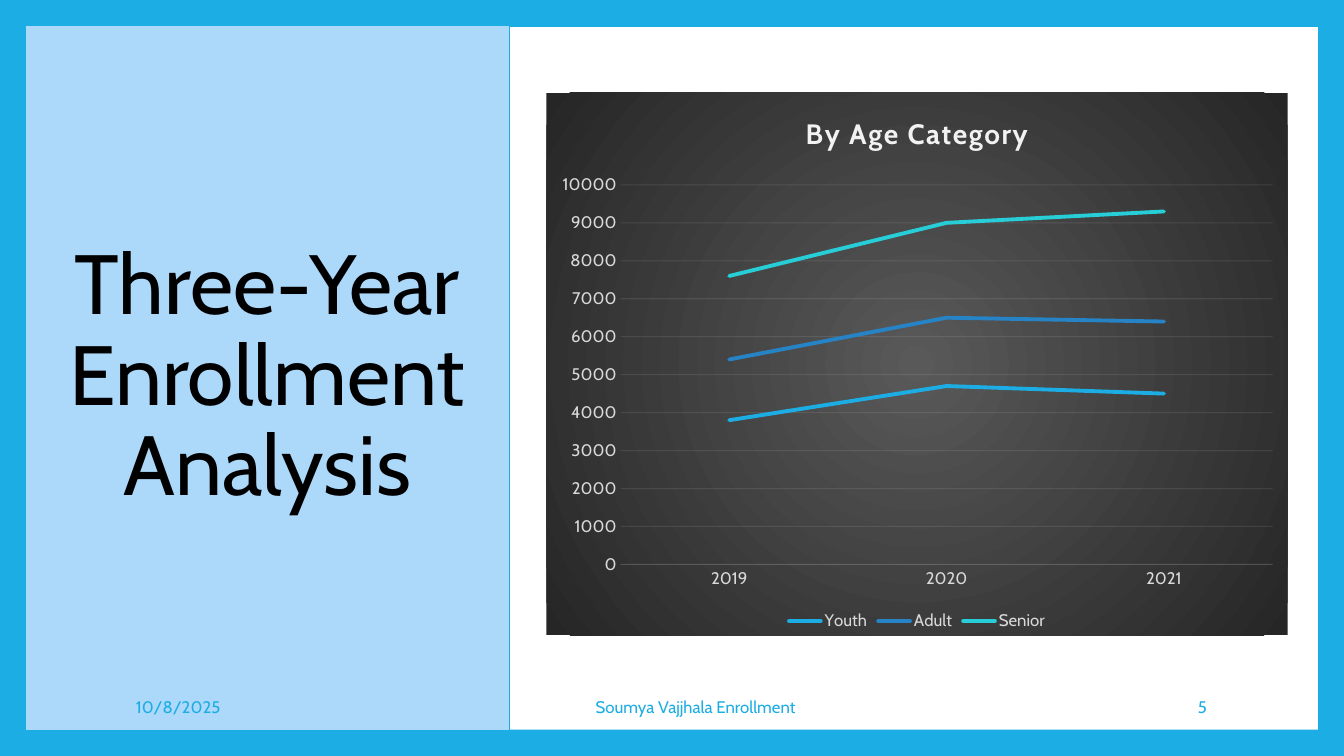
from lxml import etree
from pptx import Presentation
from pptx.chart.data import CategoryChartData
from pptx.dml.color import RGBColor
from pptx.enum.chart import XL_CHART_TYPE, XL_LEGEND_POSITION, XL_MARKER_STYLE, XL_TICK_MARK
from pptx.enum.shapes import MSO_SHAPE
from pptx.enum.text import MSO_ANCHOR, MSO_AUTO_SIZE, PP_ALIGN
from pptx.oxml import parse_xml
from pptx.oxml.ns import nsdecls, qn
from pptx.util import Inches, Pt

FONT = "Cabin"
BLUE = RGBColor(0x1C, 0xAD, 0xE4)
MID_BLUE = RGBColor(0x26, 0x83, 0xC6)
TURQUOISE = RGBColor(0x27, 0xCE, 0xD7)
PALE_BLUE = RGBColor(0xAC, 0xD8, 0xFA)
WHITE = RGBColor(0xFF, 0xFF, 0xFF)
BLACK = RGBColor(0, 0, 0)
OFF_WHITE = RGBColor(0xF2, 0xF2, 0xF2)
LIGHT_GREY = RGBColor(0xD9, 0xD9, 0xD9)
CENTRE_GREY = RGBColor(0x59, 0x59, 0x59)
EDGE_GREY = RGBColor(0x26, 0x26, 0x26)

YEARS = ["2019", "2020", "2021"]
ENROLLMENT = [
    ("Youth", (3800, 4700, 4500), BLUE),
    ("Adult", (1600, 1800, 1900), MID_BLUE),
    ("Senior", (2200, 2500, 2900), TURQUOISE),
]


def inches(box):
    return [Inches(length) for length in box]


def set_font(font, size, color, bold=False):
    font.name, font.size, font.bold = FONT, Pt(size), bold
    font.color.rgb = color


def add_title(slide, box):
    title = slide.shapes.title
    title.left, title.top, title.width, title.height = inches(box)
    title.fill.solid()
    title.fill.fore_color.rgb = PALE_BLUE
    title.line.color.rgb = BLUE
    title.line.width = Pt(0.79)
    frame = title.text_frame
    frame.text = "Three-Year Enrollment Analysis"
    frame.word_wrap = True
    frame.auto_size = MSO_AUTO_SIZE.NONE
    frame.vertical_anchor = MSO_ANCHOR.MIDDLE
    paragraph = frame.paragraphs[0]
    paragraph.alignment = PP_ALIGN.CENTER
    paragraph.line_spacing = 0.9
    set_font(paragraph.runs[0].font, 60, BLACK)


def add_panel(slide, box):
    panel = slide.shapes.add_shape(MSO_SHAPE.RECTANGLE, *inches(box))
    panel.shadow.inherit = False
    panel.fill.solid()
    panel.fill.fore_color.rgb = WHITE
    panel.line.fill.background()
    # The panel lies behind the title
    slide.shapes.title.element.addprevious(panel.element)


def style_faint_line(line):
    line.width = Pt(0.75)
    line.color.rgb = OFF_WHITE
    for color in line.fill._xPr.iter(qn("a:srgbClr")):
        etree.SubElement(color, qn("a:alpha")).set("val", "10000")


def style_axes(chart):
    for axis in (chart.category_axis, chart.value_axis):
        axis.major_tick_mark = axis.minor_tick_mark = XL_TICK_MARK.NONE
        set_font(axis.tick_labels.font, 12, LIGHT_GREY)
    style_faint_line(chart.category_axis.format.line)
    values = chart.value_axis
    values.minimum_scale, values.maximum_scale, values.major_unit = 0, 10000, 1000
    values.format.line.fill.background()
    values.has_major_gridlines = True
    style_faint_line(values.major_gridlines.format.line)


def fill_chart_background(chart):
    background = parse_xml(
        f'<c:spPr {nsdecls("c", "a")}><a:gradFill><a:gsLst>'
        f'<a:gs pos="0"><a:srgbClr val="{CENTRE_GREY}"/></a:gs>'
        f'<a:gs pos="100000"><a:srgbClr val="{EDGE_GREY}"/></a:gs></a:gsLst>'
        '<a:path path="circle"><a:fillToRect l="50000" t="50000" r="50000" b="50000"/></a:path>'
        '</a:gradFill><a:ln><a:noFill/></a:ln></c:spPr>')
    chart.element.find(qn("c:txPr")).addprevious(background)


def place_plot(chart, x, y, w, h):
    plot_area = chart.element.find(".//" + qn("c:plotArea"))
    for layout in plot_area.findall(qn("c:layout")):
        plot_area.remove(layout)
    plot_area.insert(0, parse_xml(
        f'<c:layout {nsdecls("c")}><c:manualLayout><c:layoutTarget val="inner"/>'
        '<c:xMode val="edge"/><c:yMode val="edge"/>'
        f'<c:x val="{x}"/><c:y val="{y}"/><c:w val="{w}"/><c:h val="{h}"/>'
        '</c:manualLayout></c:layout>'))


def add_enrollment_chart(slide, box):
    data = CategoryChartData()
    data.categories = YEARS
    for name, counts, _ in ENROLLMENT:
        data.add_series(name, counts)
    chart = slide.shapes.add_chart(XL_CHART_TYPE.LINE_STACKED, *inches(box), data).chart
    set_font(chart.font, 10, BLACK)

    # Heading and legend
    chart.has_title = True
    heading = chart.chart_title.text_frame
    heading.text = "By Age Category"
    heading_font = heading.paragraphs[0].runs[0].font
    set_font(heading_font, 20, OFF_WHITE, bold=True)
    heading_font._element.set("spc", "100")
    chart.chart_title.include_in_layout = False
    chart.has_legend = True
    chart.legend.position = XL_LEGEND_POSITION.BOTTOM
    chart.legend.include_in_layout = False
    set_font(chart.legend.font, 12, LIGHT_GREY)

    # Lines
    chart.plots[0].vary_by_categories = False
    for series, (_, _, color) in zip(chart.plots[0].series, ENROLLMENT):
        series.smooth = False
        series.marker.style = XL_MARKER_STYLE.NONE
        series.format.line.width = Pt(2.75)
        series.format.line.color.rgb = color
        series.format.line.fill._xPr.set("cap", "rnd")

    style_axes(chart)
    fill_chart_background(chart)
    place_plot(chart, 0.1, 0.17, 0.88, 0.7)


def add_footer(slide, top, height):
    for text, left, width, alignment in (
        ("10/8/2025", 1.25, 2.55, PP_ALIGN.LEFT),
        ("Soumya Vajjhala Enrollment", 4.32, 5.16, PP_ALIGN.CENTER),
        ("5", 10.2, 1.87, PP_ALIGN.RIGHT),
    ):
        frame = slide.shapes.add_textbox(*inches((left, top, width, height))).text_frame
        frame.text = text
        frame.word_wrap = True
        frame.vertical_anchor = MSO_ANCHOR.MIDDLE
        frame.paragraphs[0].alignment = alignment
        set_font(frame.paragraphs[0].runs[0].font, 12, BLUE)


def main():
    deck = Presentation()
    deck.slide_width, deck.slide_height = inches((13.33, 7.5))
    slide = deck.slides.add_slide(deck.slide_layouts[5])
    slide.background.fill.solid()
    slide.background.fill.fore_color.rgb = BLUE
    add_title(slide, (0.25, 0.25, 4.8, 7))
    add_panel(slide, (0.25, 0.27, 12.82, 6.97))
    add_enrollment_chart(slide, (5.42, 0.92, 7.35, 5.38))
    add_footer(slide, 6.81, 0.4)
    deck.save("out.pptx")


if __name__ == "__main__":
    main()
